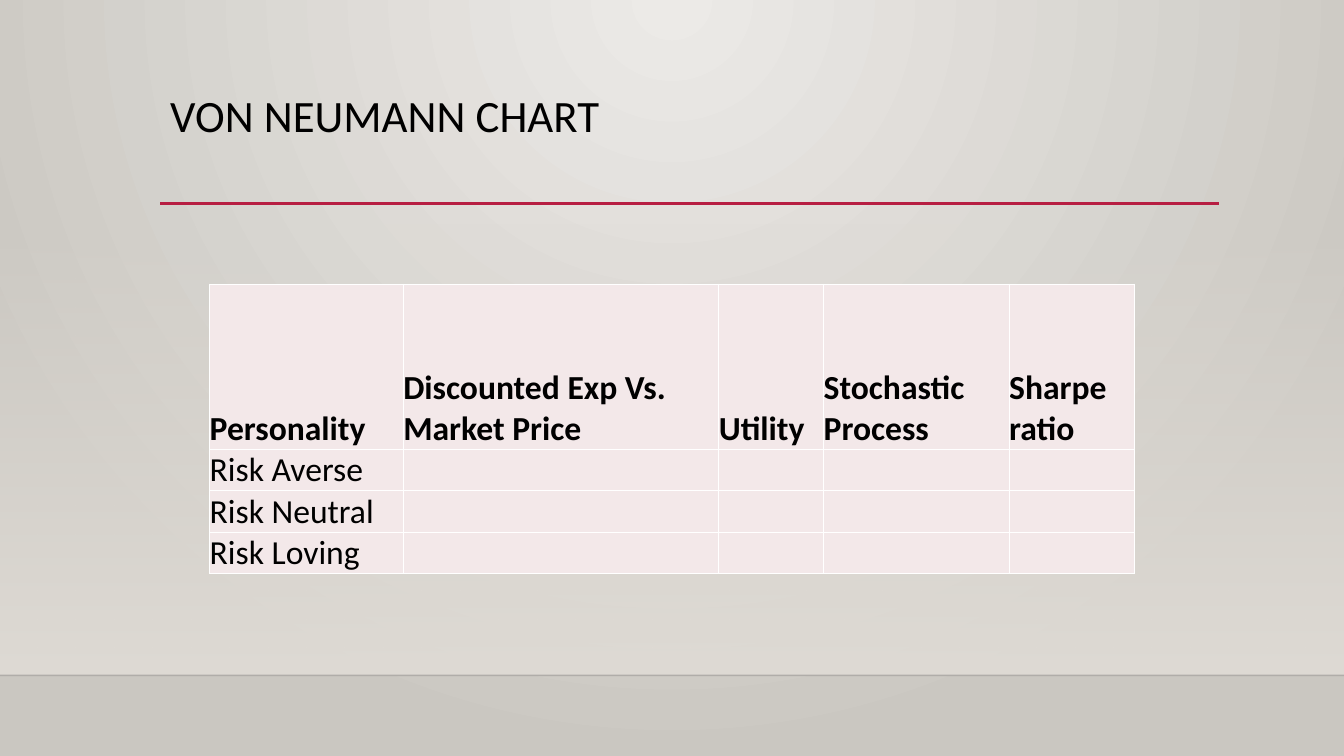
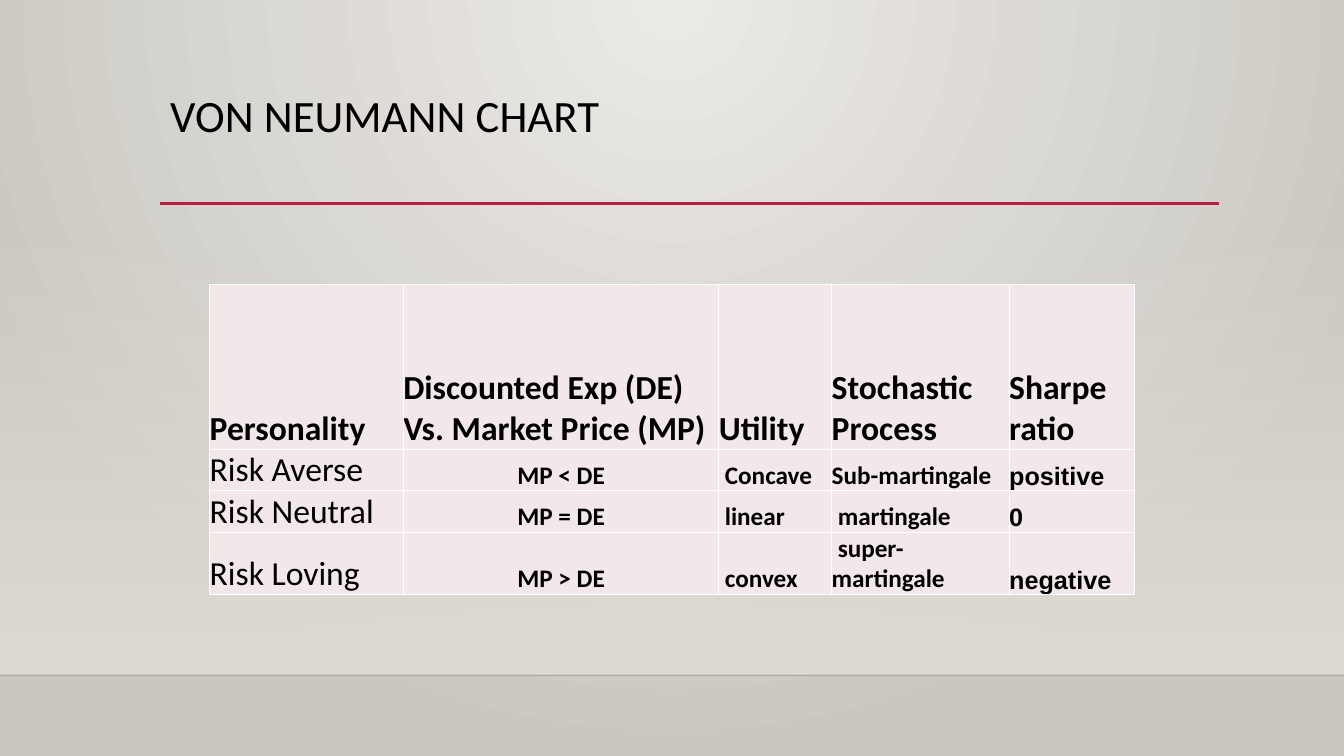
from dataclasses import dataclass

from pptx import Presentation
from pptx.dml.color import RGBColor
from pptx.enum.shapes import MSO_CONNECTOR as Connector, MSO_SHAPE as Shape
from pptx.enum.text import MSO_ANCHOR as Anchor, PP_ALIGN as Align
from pptx.oxml import parse_xml
from pptx.oxml.ns import nsdecls, qn
from pptx.util import Inches, Pt


@dataclass(frozen=True)
class Theme:
    glow: str = "ECEAE7"
    backdrop: str = "CAC7C1"
    band: str = "DFDBD5"
    floor: str = "000001"
    accent: str = "B71E42"
    ink: str = "000000"
    cell: str = "F3E8E9"
    border: str = "FFFFFF"
    font: str = "Calibri"
    ratio_font: str = "Arial"
    title_size: int = 32
    label_size: int = 24
    value_size: int = 18


THEME = Theme()
WIDTH, HEIGHT = 13.33, 7.5
MARGIN, CONTENT_WIDTH = 1.59, 10.5
FLOOR_TOP = 6.7
TITLE = "VON NEUMANN CHART"
PERSONALITIES = ["Risk Averse", "Risk Neutral", "Risk Loving"]
VALUE_INDENT = 0.06

BLANK_CHART = {
    "comparison": "Discounted Exp Vs. Market Price",
    "widths": [1.92, 3.13, 1.04, 1.84, 1.24],
    "heights": [1.64, 0.41, 0.41, 0.41],
    "answers": [],
}
SOLVED_CHART = {
    "comparison": "Discounted Exp (DE) Vs. Market Price (MP)",
    "widths": [1.92, 3.13, 1.12, 1.76, 1.24],
    "heights": [1.64, 0.41, 0.41, 0.62],
    "answers": [
        ["MP < DE", "Concave", "Sub-martingale", "positive"],
        ["MP = DE", "linear", "martingale", "0"],
        ["MP > DE", "convex", "super-martingale", "negative"],
    ],
}


def rgb(code):
    return RGBColor.from_string(code)


def gradient(start, end, direction, start_alpha=100):
    return parse_xml(
        f'<a:gradFill {nsdecls("a")} rotWithShape="1"><a:gsLst>'
        f'<a:gs pos="0"><a:srgbClr val="{start}"><a:alpha val="{start_alpha * 1000}"/></a:srgbClr></a:gs>'
        f'<a:gs pos="100000"><a:srgbClr val="{end}"/></a:gs>'
        f"</a:gsLst>{direction}</a:gradFill>"
    )


def swap_fill(parent, new_fill):
    parent.replace(parent.find(qn("a:solidFill")), new_fill)


def set_background(master):
    master.background.fill.solid()
    circle = '<a:path path="circle"><a:fillToRect l="43000" t="0" r="43000" b="100000"/></a:path>'
    properties = next(master.element.iter(qn("p:bgPr")))
    swap_fill(properties, gradient(THEME.glow, THEME.backdrop, circle))


def add_band(slide):
    band = slide.shapes.add_shape(
        Shape.RECTANGLE, 0, Inches(2.21), Inches(WIDTH), Inches(FLOOR_TOP - 2.21)
    )
    band.shadow.inherit = False
    band.line.fill.background()
    band.fill.solid()
    downward = '<a:lin ang="5400000" scaled="0"/>'
    swap_fill(band.element.spPr, gradient(THEME.band, THEME.band, downward, start_alpha=0))


def add_rule(slide, left, top, width, color, weight, alpha=100):
    rule = slide.shapes.add_connector(
        Connector.STRAIGHT, Inches(left), Inches(top), Inches(left + width), Inches(top)
    )
    rule.line.color.rgb = rgb(color)
    rule.line.width = Pt(weight)
    properties = rule.element.spPr
    tint = next(properties.iter(qn("a:srgbClr")))
    tint.append(parse_xml(f'<a:alpha {nsdecls("a")} val="{alpha * 1000}"/>'))
    properties.append(parse_xml(f'<a:effectLst {nsdecls("a")}/>'))


def add_run(paragraph, text, size, font=THEME.font, bold=False):
    run = paragraph.add_run()
    run.text = text
    run.font.size = Pt(size)
    run.font.name = font
    run.font.bold = bold
    run.font.color.rgb = rgb(THEME.ink)


def add_title(slide, text):
    title = slide.shapes.add_textbox(
        Inches(MARGIN), Inches(0.88), Inches(CONTENT_WIDTH), Inches(1.15)
    )
    title.text_frame.word_wrap = True
    paragraph = title.text_frame.paragraphs[0]
    paragraph.line_spacing = 0.9
    add_run(paragraph, text, THEME.title_size)


def style_cell(cell):
    properties = cell._tc.get_or_add_tcPr()
    for side in ("lnL", "lnR", "lnT", "lnB"):
        properties.append(parse_xml(
            f'<a:{side} {nsdecls("a")} w="{Pt(1)}"><a:solidFill>'
            f'<a:srgbClr val="{THEME.border}"/></a:solidFill></a:{side}>'
        ))
    cell.fill.solid()
    cell.fill.fore_color.rgb = rgb(THEME.cell)
    cell.vertical_anchor = Anchor.BOTTOM
    cell.margin_left = cell.margin_right = cell.margin_top = cell.margin_bottom = 0


def write_label(cell, text, bold=False):
    frame = cell.text_frame
    for index, line in enumerate(text.split("\n")):
        paragraph = frame.add_paragraph() if index else frame.paragraphs[0]
        add_run(paragraph, line, THEME.label_size, bold=bold)


def write_answer(cell, text, font=THEME.font, align=Align.LEFT, indent=0):
    paragraph = cell.text_frame.paragraphs[0]
    paragraph.alignment = align
    paragraph._p.get_or_add_pPr().set("indent", str(Inches(indent)))
    add_run(paragraph, text, THEME.value_size, font, bold=True)


def add_risk_table(slide, comparison, widths, heights, answers):
    table = slide.shapes.add_table(
        len(heights), len(widths), Inches(2.08), Inches(2.82),
        Inches(sum(widths)), Inches(sum(heights)),
    ).table
    table.first_row = table.horz_banding = False
    for column, width in zip(table.columns, widths):
        column.width = Inches(width)
    for row, height in zip(table.rows, heights):
        row.height = Inches(height)
    for cell in table.iter_cells():
        style_cell(cell)

    headings = ["Personality", comparison, "Utility", "Stochastic\nProcess", "Sharpe ratio"]
    for column, heading in enumerate(headings):
        write_label(table.cell(0, column), heading, bold=True)
    for row, personality in enumerate(PERSONALITIES, 1):
        write_label(table.cell(row, 0), personality)
    for row, (price, utility, process, ratio) in enumerate(answers, 1):
        write_answer(table.cell(row, 1), price, align=Align.CENTER)
        write_answer(table.cell(row, 2), utility, indent=VALUE_INDENT)
        process_indent = 0 if process.startswith("Sub") else VALUE_INDENT
        write_answer(table.cell(row, 3), process, indent=process_indent)
        write_answer(table.cell(row, 4), ratio, font=THEME.ratio_font)


def add_chart_slide(prs, chart):
    slide = prs.slides.add_slide(prs.slide_layouts[6])
    add_band(slide)
    add_rule(slide, 0, FLOOR_TOP, WIDTH, THEME.floor, 1, alpha=20)
    add_rule(slide, MARGIN, 2.02, CONTENT_WIDTH, THEME.accent, 2.5)
    add_title(slide, TITLE)
    add_risk_table(slide, **chart)


def main():
    prs = Presentation()
    prs.slide_width, prs.slide_height = Inches(WIDTH), Inches(HEIGHT)
    set_background(prs.slide_master)
    for chart in (BLANK_CHART, SOLVED_CHART):
        add_chart_slide(prs, chart)
    prs.save("out.pptx")


if __name__ == "__main__":
    main()
